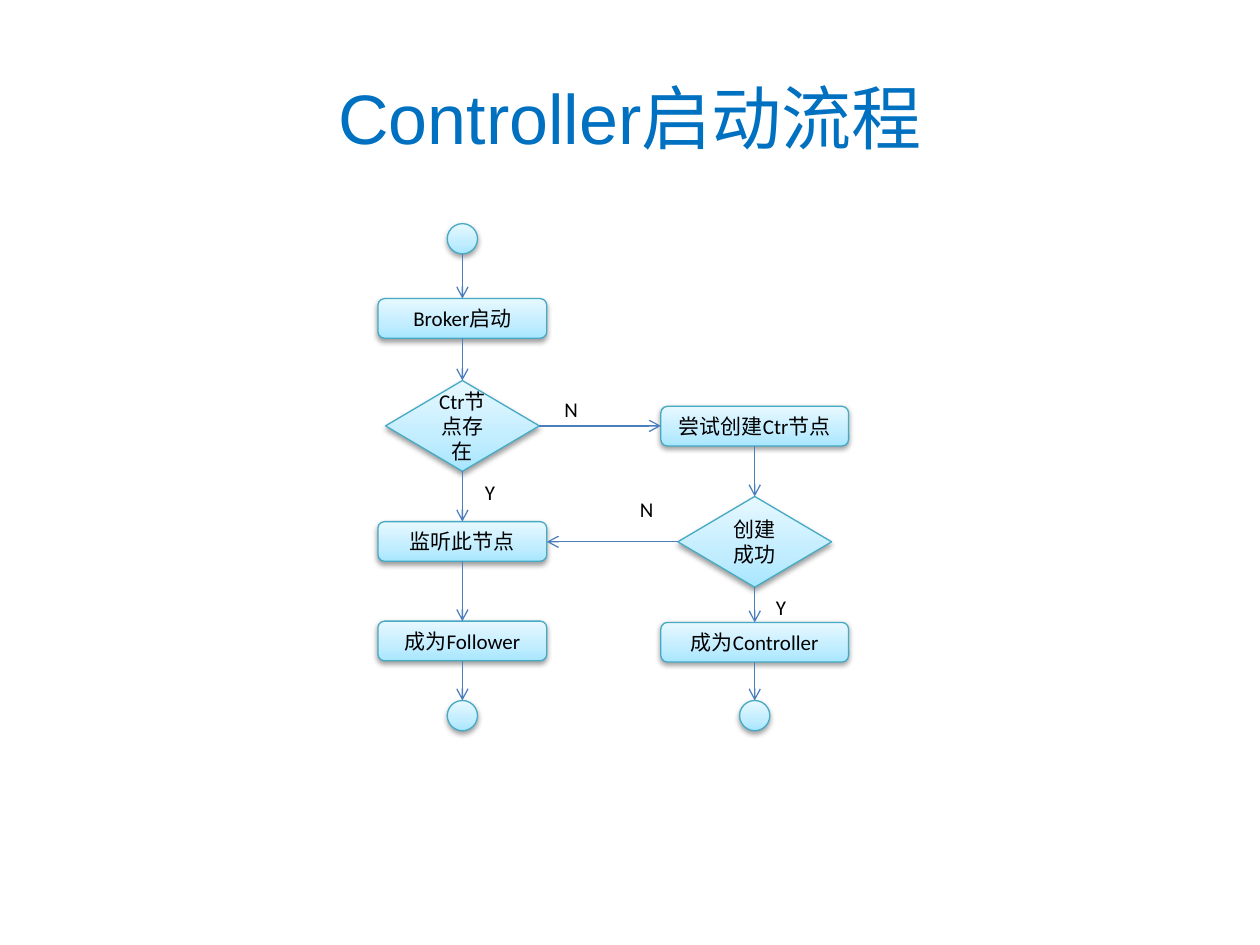
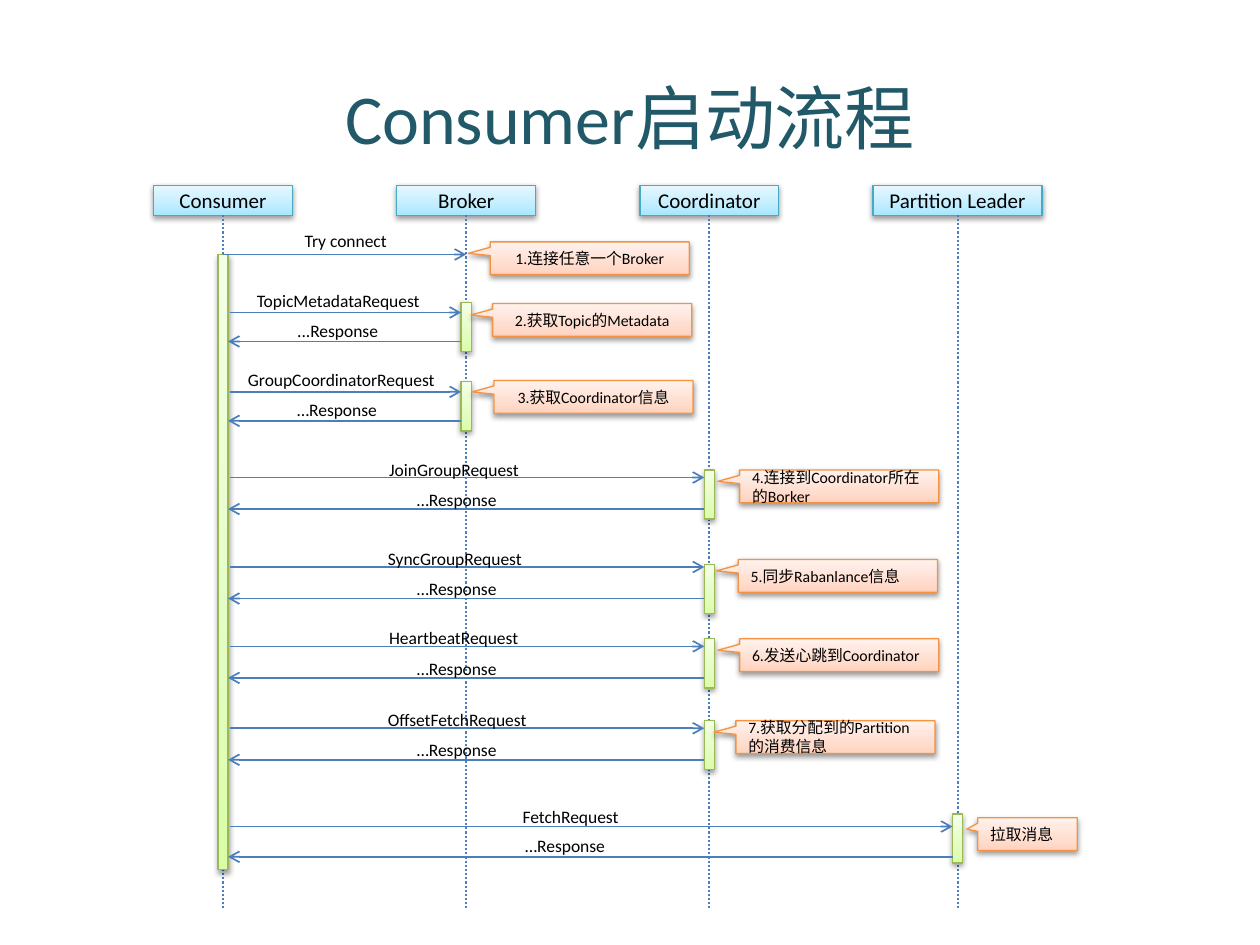
import copy

import pptx
import pptx.dml.color
import pptx.enum.dml
import pptx.enum.shapes
import pptx.enum.text
import pptx.oxml
import pptx.oxml.ns
import pptx.util
from lxml import etree

hex_color = pptx.dml.color.RGBColor.from_string
qn = pptx.oxml.ns.qn
Shape = pptx.enum.shapes.MSO_SHAPE
Align = pptx.enum.text.PP_ALIGN
Anchor = pptx.enum.text.MSO_ANCHOR

# Shared grid (100 columns by 75 rows) and styles
deck = pptx.Presentation()
deck.slide_width = pptx.util.Inches(10)
deck.slide_height = pptx.util.Inches(7.5)
CELL = deck.slide_width // 100
TITLE_AREA = (5, 3, 90, 12.5)
LINE_COLOR = "4B7EBC"
# Outline colour, then gradient colours from bottom to top
BLUE = ("46AAC5", "A7E6FF", "C1EDFF", "E7F8FF")
GREEN = ("98B955", "DAFDA7", "E4FCC2", "F5FFE7")
ORANGE = ("F69240", "FFD2BD", "FFDED0", "FFF2ED")
SHADOW = (
    f'<a:outerShdw {pptx.oxml.ns.nsdecls("a")}'
    ' blurRad="40000" dist="20000" dir="5400000" rotWithShape="0">'
    '<a:srgbClr val="000000"><a:alpha val="38000"/></a:srgbClr></a:outerShdw>'
)


def add_box(page, area, text="", size=12, kind=None, style=BLUE, color="000000",
            font="Calibri", align=Align.CENTER, anchor=Anchor.MIDDLE, wrap=True):
    """Add a styled shape, or a plain text box when no kind is given."""
    place = [round(value * CELL) for value in area]
    if kind is None:
        box = page.shapes.add_textbox(*place)
    else:
        box = page.shapes.add_shape(kind, *place)
        outline, *gradient = style
        box.line.color.rgb = hex_color(outline)
        box.line.width = pptx.util.Pt(0.75)
        box.fill.gradient()
        box.fill.gradient_angle = 90
        stops = box._element.spPr.find(".//" + qn("a:gsLst"))
        stops.append(copy.deepcopy(stops[0]))
        for stop, position, tone in zip(box.fill.gradient_stops, (0, 0.35, 1), gradient):
            stop.position = position
            stop.color.rgb = hex_color(tone)
        box.shadow.inherit = False
        box._element.spPr.find(qn("a:effectLst")).append(pptx.oxml.parse_xml(SHADOW))
    frame = box.text_frame
    frame.word_wrap = wrap
    frame.vertical_anchor = anchor
    frame.text = text
    para = frame.paragraphs[0]
    para.alignment = align
    for span in para.runs:
        span.font.name = font
        span.font.size = pptx.util.Pt(size)
        span.font.color.rgb = hex_color(color)
    return box


def add_line(page, start, end, width=0.75, dotted=False):
    """Add a dotted lifeline, or an arrow that points at its end."""
    ends = [round(value * CELL) for value in (*start, *end)]
    line = page.shapes.add_connector(pptx.enum.shapes.MSO_CONNECTOR.STRAIGHT, *ends)
    line.line.color.rgb = hex_color(LINE_COLOR)
    line.line.width = pptx.util.Pt(width)
    properties = line._element.spPr
    if dotted:
        line.line.dash_style = pptx.enum.dml.MSO_LINE.ROUND_DOT
    else:
        etree.SubElement(properties.find(qn("a:ln")), qn("a:tailEnd"), type="arrow")
    etree.SubElement(properties, qn("a:effectLst"))


# Slide 1: controller start-up flow
page = deck.slides.add_slide(deck.slide_layouts[6])
title = add_box(page, TITLE_AREA, "Controller", 40, color="0070C0", font="Arial")
span = title.text_frame.paragraphs[0].add_run()
span.text = "启动流程"
span.font.name = "Calibri"
span.font.size = pptx.util.Pt(40)
span.font.color.rgb = hex_color("0070C0")

# Each branch: centre column, step width, then (kind, top row, text)
LEFT, RIGHT = 36.7, 59.9
STEP, CHOICE, DOT = Shape.ROUNDED_RECTANGLE, Shape.DIAMOND, Shape.OVAL
branches = [
    (LEFT, 13.4, [
        (DOT, 17.75, ""),
        (STEP, 23.7, "Broker启动"),
        (CHOICE, 30.2, "Ctr节点存在"),
        (STEP, 41.4, "监听此节点"),
        (STEP, 49.3, "成为Follower"),
        (DOT, 55.6, ""),
    ]),
    (RIGHT, 14.9, [
        (STEP, 32.25, "尝试创建Ctr节点"),
        (CHOICE, 39.4, "创建成功"),
        (STEP, 49.4, "成为Controller"),
        (DOT, 55.6, ""),
    ]),
]
for centre, step_width, nodes in branches:
    sizes = {STEP: (step_width, 3.15), CHOICE: (12.2, 7.2), DOT: (2.4, 2.4)}
    previous_bottom = None
    for kind, top, text in nodes:
        width, height = sizes[kind]
        add_box(page, (centre - width / 2, top, width, height), text, kind=kind)
        if previous_bottom is not None:
            add_line(page, (centre, previous_bottom), (centre, top))
        previous_bottom = top + height

# Arrows between the branches, and the answers at each choice
add_line(page, (LEFT + 6.1, 33.8), (RIGHT - 7.45, 33.8))
add_line(page, (RIGHT - 6.1, 43), (LEFT + 6.7, 43))
for left, top, answer in [(43.8, 31, "N"), (37.5, 37.6, "Y"), (49.8, 38.9, "N"), (60.6, 46.7, "Y")]:
    add_box(page, (left, top, 3.9, 3), answer, align=Align.LEFT, anchor=Anchor.TOP)

# Slide 2: consumer start-up sequence
page = deck.slides.add_slide(deck.slide_layouts[6])
add_box(page, TITLE_AREA, "Consumer启动流程", 40, color="215968")

# Participants and their lifelines
CONSUMER, BROKER, COORDINATOR, LEADER = 17.7, 37, 56.3, 76
BAR = 0.8
participants = [(CONSUMER, 11, "Consumer"), (BROKER, 11, "Broker"),
                (COORDINATOR, 11, "Coordinator"), (LEADER, 13.4, "Partition Leader")]
for centre, width, name in participants:
    add_box(page, (centre - width / 2, 14.7, width, 2.4), name, kind=Shape.RECTANGLE)
    add_line(page, (centre, 17.05), (centre, 72.1), 1.2, dotted=True)
add_box(page, (CONSUMER - BAR / 2, 20.2, BAR, 48.8), kind=Shape.RECTANGLE, style=GREEN)

# First contact
add_line(page, (CONSUMER, 20.2), (BROKER, 20.2), 1)
add_box(page, (23.2, 17.8, 8.7, 2.7), "Try connect", 10, align=Align.LEFT,
        anchor=Anchor.TOP, wrap=False)

# Per participant: label rise, response delay, response label drop, its left, request width
lanes = {
    BROKER: (2.3, 2.3, 0.1, 22.6, 18),
    COORDINATOR: (2, 2.5, 0.4, 32.1, 18.2),
    LEADER: (2.1, 2.4, 0.2, 40.7, 10.3),
}
# Exchanges: participant, request row, bar top, label left, request, response
exchanges = [
    (BROKER, 24.8, 24, 19.4, "TopicMetadataRequest", "...Response"),
    (BROKER, 31.1, 30.3, 18.7, "GroupCoordinatorRequest", "…Response"),
    (COORDINATOR, 37.9, 37.3, 29.9, "JoinGroupRequest", "…Response"),
    (COORDINATOR, 45, 44.8, 29.8, "SyncGroupRequest", "…Response"),
    (COORDINATOR, 51.3, 50.7, 29.9, "HeartbeatRequest", "…Response"),
    (COORDINATOR, 57.8, 57.2, 29.8, "OffsetFetchRequest", "…Response"),
    (LEADER, 65.6, 64.6, 40.5, "FetchRequest", "…Response"),
]
for centre, row, bar_top, label_left, request, response in exchanges:
    rise, delay, drop, response_left, label_width = lanes[centre]
    edge = centre - BAR / 2
    add_box(page, (edge, bar_top, BAR, 3.9), kind=Shape.RECTANGLE, style=GREEN)
    add_line(page, (18.25, row), (edge, row), 1)
    add_line(page, (edge, row + delay), (18.1, row + delay), 1)
    add_box(page, (label_left, row - rise, label_width, 2.7), request, 10,
            align=Align.LEFT, anchor=Anchor.TOP)
    add_box(page, (response_left, row + drop, 8.5, 2.7), response, 10,
            align=Align.LEFT, anchor=Anchor.TOP, wrap=False)

# Notes beside the lifelines
notes = [
    (38.9, 19.2, 15.8, Align.CENTER, "1.连接任意一个Broker"),
    (39.1, 24.1, 15.8, Align.CENTER, "2.获取Topic的Metadata"),
    (39.2, 30.2, 15.8, Align.CENTER, "3.获取Coordinator信息"),
    (58.7, 37.3, 15.8, Align.LEFT, "4.连接到Coordinator所在的Borker"),
    (58.6, 44.4, 15.8, Align.LEFT, "5.同步Rabanlance信息"),
    (58.7, 50.7, 15.8, Align.LEFT, "6.发送心跳到Coordinator"),
    (58.4, 57.2, 15.8, Align.LEFT, "7.获取分配到的Partition的消费信息"),
    (77.6, 64.9, 7.9, Align.LEFT, "拉取消息"),
]
for left, top, width, align, text in notes:
    note = add_box(page, (left, top, width, 2.6), text, 9, Shape.RECTANGULAR_CALLOUT,
                   ORANGE, align=align)
    note.adjustments[0] = -0.61
    note.adjustments[1] = -0.15

deck.save("out.pptx")
